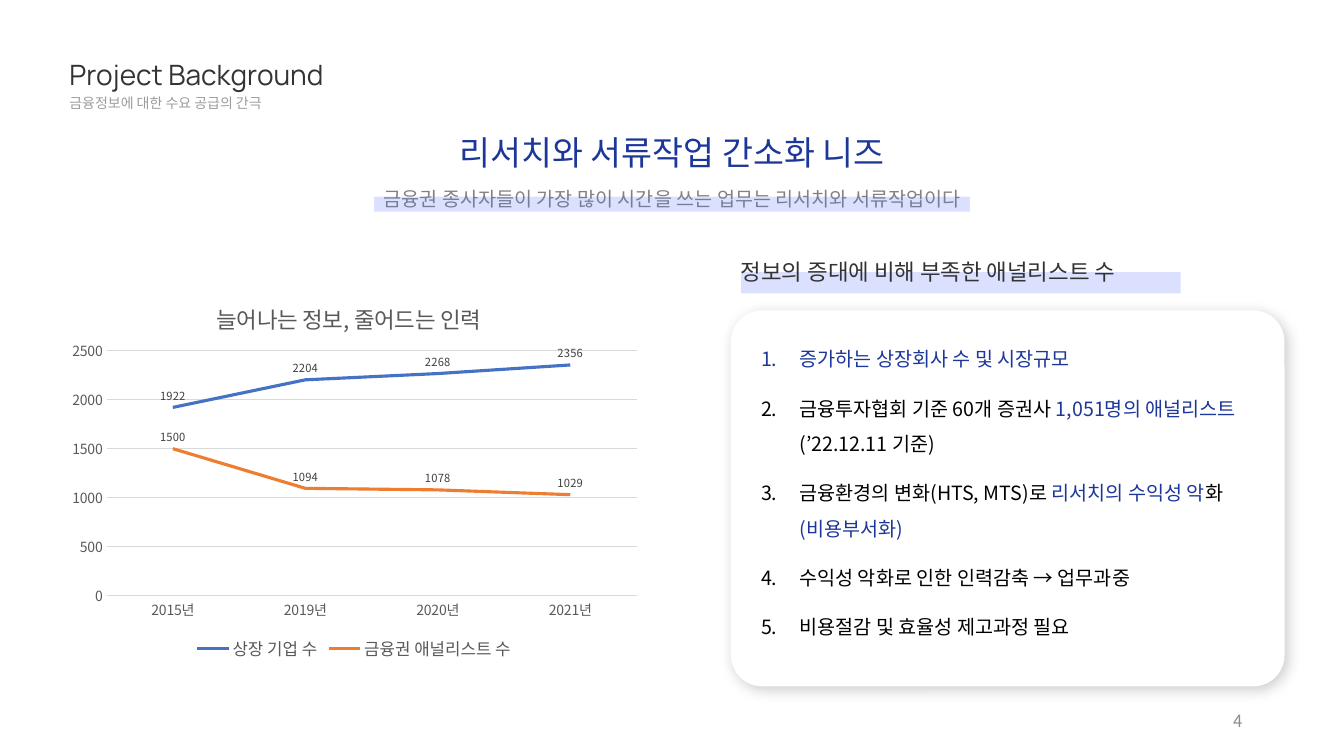
from dataclasses import dataclass
from typing import Any

from lxml.etree import SubElement
from pptx import Presentation
from pptx.chart.data import CategoryChartData
from pptx.dml.color import RGBColor
from pptx.enum.chart import XL_CHART_TYPE as ChartType
from pptx.enum.chart import XL_LABEL_POSITION as LabelPosition
from pptx.enum.chart import XL_LEGEND_POSITION as LegendPosition
from pptx.enum.chart import XL_TICK_MARK as TickMark
from pptx.enum.shapes import MSO_SHAPE as Preset
from pptx.enum.text import MSO_ANCHOR as Anchor
from pptx.enum.text import PP_ALIGN as Align
from pptx.oxml.ns import qn
from pptx.util import Inches, Pt

KOREAN = "Noto Sans CJK KR"
BLUE, BLACK, GRAY, DARK = "1C3699", "000000", "595959", "333333"
GRID, HIGHLIGHT, WHITE = "D9D9D9", "4A65F6", "FFFFFF"
BREAK = "\n"


@dataclass(frozen=True)
class Label:
    text: str
    area: tuple[float, float, float, float]
    size: int
    color: str
    spacing: float = 0.9
    align: Any = Align.LEFT
    font: str = KOREAN
    anchor: Any = Anchor.TOP


@dataclass(frozen=True)
class Trend:
    name: str
    values: tuple[int, ...]
    color: str


HEADINGS = (
    Label("Project Background", (0.59, 0.59, 5.11, 0.39), 20, DARK, 0.8, font="Manrope"),
    Label("금융정보에 대한 수요 공급의 간극", (0.59, 0.91, 3.3, 0.39), 10, "9C9C9C", font="Manrope"),
    Label("리서치와 서류작업 간소화 니즈", (0.83, 1.3, 11.67, 0.56), 24, BLUE, align=Align.CENTER),
    Label("금융권 종사자들이 가장 많이 시간을 쓰는 업무는 리서치와 서류작업이다",
          (3.07, 1.69, 7.2, 0.41), 14, "828282", 1.5, Align.CENTER),
)
PAGE_NUMBER = Label("4", (9.42, 6.95, 3, 0.4), 12, "8C8C8C", 1.0, Align.RIGHT, anchor=Anchor.MIDDLE)
REASONS_TITLE = Label("정보의 증대에 비해 부족한 애널리스트 수", (7.25, 2.54, 4.46, 0.41), 16, DARK)
REASONS = (
    (("증가하는 상장회사 수 및 시장규모", BLUE),),
    (("금융투자협회 기준 60개 증권사 ", BLACK), ("1,051명의 애널리스트 ", BLUE), ("(’22.12.11 기준)", BLACK)),
    (("금융환경의 변화(HTS, MTS)로 ", BLACK), ("리서치의 수익성 악", BLUE), ("화", BLACK),
     (BREAK, BLACK), ("(비용부서화)", BLUE)),
    (("수익성 악화로 인한 인력감축 → 업무과중", BLACK),),
    (("비용절감 및 효율성 제고과정 필요", BLACK),),
)
YEARS = ("2015년", "2019년", "2020년", "2021년")
TRENDS = (
    Trend("상장 기업 수", (1922, 2204, 2268, 2356), "4472C4"),
    Trend("금융권 애널리스트 수", (1500, 1094, 1078, 1029), "ED7D31"),
)


def rgb(color: str) -> RGBColor:
    return RGBColor.from_string(color)


def apply(target: Any, **values: Any) -> None:
    for name, value in values.items():
        setattr(target, name, value)


def style_font(font: Any, size: int, color: str, name: str = KOREAN) -> None:
    apply(font, size=Pt(size), name=name, bold=False)
    font.color.rgb = rgb(color)
    latin = font._element.find(qn("a:latin"))
    east_asian = latin.makeelement(qn("a:ea"), {"typeface": KOREAN})
    latin.addnext(east_asian)


def add_box(page: Any, area: tuple[float, ...], anchor: Any = Anchor.TOP) -> Any:
    frame = page.shapes.add_textbox(*map(Inches, area)).text_frame
    apply(frame, word_wrap=True, vertical_anchor=anchor)
    return frame


def add_label(page: Any, label: Label) -> None:
    para = add_box(page, label.area, label.anchor).paragraphs[0]
    apply(para, alignment=label.align, line_spacing=label.spacing)
    span = para.add_run()
    span.text = label.text
    style_font(span.font, label.size, label.color, label.font)


def add_block(page: Any, preset: Any, area: tuple[float, ...], color: str) -> Any:
    block = page.shapes.add_shape(preset, *map(Inches, area))
    block.shadow.inherit = False
    block.fill.solid()
    block.fill.fore_color.rgb = rgb(color)
    block.line.fill.background()
    return block


def add_highlight(page: Any, area: tuple[float, ...]) -> None:
    block = add_block(page, Preset.RECTANGLE, area, HIGHLIGHT)
    color = block._element.spPr.find(qn("a:solidFill"))[0]
    SubElement(color, qn("a:alpha"), val="20000")


def add_card(page: Any) -> None:
    card = add_block(page, Preset.ROUNDED_RECTANGLE, (7.25, 3.08, 5.49, 3.73), WHITE)
    card.adjustments[0] = 0.083
    effects = card._element.spPr.find(qn("a:effectLst"))
    shadow = SubElement(effects, qn("a:outerShdw"), blurRad=str(Pt(10)), dist=str(Pt(3)),
                        dir="2700000", algn="tl", rotWithShape="0")
    color = SubElement(shadow, qn("a:srgbClr"), val=BLACK)
    SubElement(color, qn("a:alpha"), val="20000")


def add_reasons(page: Any) -> None:
    frame = add_box(page, (7.45, 3.28, 5.11, 3.34))
    for index, reason in enumerate(REASONS):
        para = frame.add_paragraph() if index else frame.paragraphs[0]
        settings = para._p.get_or_add_pPr()
        apply_indent = {"marL": Inches(0.38), "indent": -Inches(0.38)}
        for name, value in apply_indent.items():
            settings.set(name, str(value))
        SubElement(settings, qn("a:buFont"), typeface="+mj-lt")
        SubElement(settings, qn("a:buAutoNum"), type="arabicPeriod")
        apply(para, line_spacing=1.5, space_before=Pt(10 if index else 0))
        for text, color in reason:
            if text == BREAK:
                para.add_line_break()
                continue
            span = para.add_run()
            span.text = text
            style_font(span.font, 14, color)


def place(element: Any, index: int, **position: float) -> None:
    for old in element.findall(qn("c:layout")):
        element.remove(old)
    layout = element.makeelement(qn("c:layout"), {})
    element.insert(index, layout)
    manual = SubElement(layout, qn("c:manualLayout"))
    if "w" in position:
        SubElement(manual, qn("c:layoutTarget"), val="inner")
    for mode in ("xMode", "yMode"):
        SubElement(manual, qn(f"c:{mode}"), val="edge")
    for name, value in position.items():
        SubElement(manual, qn(f"c:{name}"), val=str(value))


def style_line(line: Any, color: str, width: float) -> None:
    line.color.rgb = rgb(color)
    line.width = Pt(width)


def add_trend_chart(page: Any) -> None:
    data = CategoryChartData()
    data.categories = YEARS
    for trend in TRENDS:
        data.add_series(trend.name, trend.values)
    area = map(Inches, (0.59, 2.75, 5.84, 3.85))
    chart = page.shapes.add_chart(ChartType.LINE, *area, data).chart
    style_font(chart.font, 10, BLACK)

    span = chart.chart_title.text_frame.paragraphs[0].add_run()
    span.text = "늘어나는 정보, 줄어드는 인력"
    style_font(span.font, 16, GRAY)
    place(chart.chart_title._element, 1, x=0.26, y=0.05)
    place(chart._chartSpace.chart.plotArea, 0, x=0.08, y=0.19, w=0.9, h=0.63)

    for axis in (chart.category_axis, chart.value_axis):
        apply(axis, major_tick_mark=TickMark.NONE, minor_tick_mark=TickMark.NONE)
        style_font(axis.tick_labels.font, 10, GRAY)
    style_line(chart.category_axis.format.line, GRID, 0.75)
    apply(chart.value_axis, minimum_scale=0, maximum_scale=2500, major_unit=500)
    chart.value_axis.format.line.fill.background()
    style_line(chart.value_axis.major_gridlines.format.line, GRID, 0.75)

    chart.has_legend = True
    apply(chart.legend, position=LegendPosition.BOTTOM, include_in_layout=False)
    style_font(chart.legend.font, 12, GRAY)
    chart.plots[0].vary_by_categories = False
    for series, trend in zip(chart.plots[0].series, TRENDS):
        series.smooth = False
        style_line(series.format.line, trend.color, 2.25)
        apply(series.data_labels, show_value=True, position=LabelPosition.ABOVE)
        style_font(series.data_labels.font, 8, "404040")


def main() -> None:
    deck = Presentation()
    apply(deck, slide_width=Inches(13.33), slide_height=Inches(7.5))
    page = deck.slides.add_slide(deck.slide_layouts[6])
    for heading in HEADINGS:
        add_label(page, heading)
    add_highlight(page, (3.71, 1.95, 5.91, 0.15))
    add_trend_chart(page)
    add_card(page)
    add_reasons(page)
    add_label(page, PAGE_NUMBER)
    add_highlight(page, (7.35, 2.7, 4.36, 0.21))
    add_label(page, REASONS_TITLE)
    deck.save("out.pptx")


if __name__ == "__main__":
    main()
